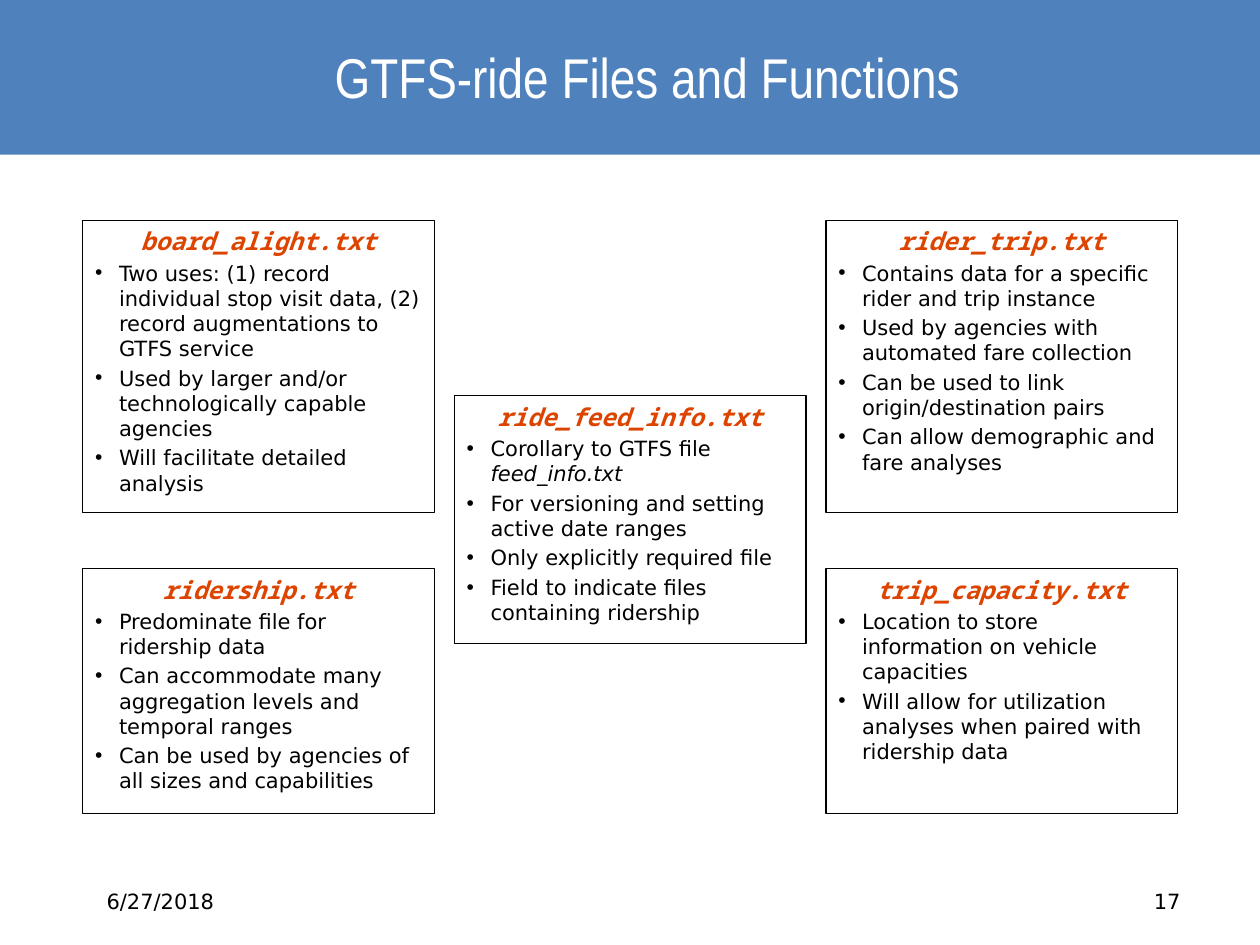
from dataclasses import dataclass

from lxml.etree import SubElement
from pptx import Presentation
from pptx.dml.color import RGBColor
from pptx.enum.shapes import MSO_SHAPE as Shape
from pptx.enum.text import MSO_ANCHOR as Anchor, PP_ALIGN as Align
from pptx.oxml.ns import qn
from pptx.util import Cm, Pt


@dataclass(frozen=True)
class Theme:
    banner: str = "4F81BD"
    title: str = "FFFFFF"
    heading: str = "DC4400"
    text: str = "000000"
    title_font: str = "Arial Narrow"
    heading_font: str = "Noto Sans Mono"
    body_font: str = "DejaVu Sans"
    title_size: int = 32
    heading_size: int = 14
    body_size: int = 12
    paragraph_gap: float = 0.2  # share of the type size


THEME = Theme()

TITLE = "GTFS-ride Files and Functions "
DATE, PAGE = "6/27/2018", "17"

# Each card: column, top, height, file name, bullets.
# A bullet is a list of (text, italic) runs or one plain string.
CARDS = [
    (0, 4.44, 5.9, "board_alight.txt", [
        "Two uses: (1) record individual stop visit data, (2) record augmentations to GTFS service",
        "Used by larger and/or technologically capable agencies",
        "Will facilitate detailed analysis",
    ]),
    (1, 7.98, 5.0, "ride_feed_info.txt", [
        [("Corollary to GTFS file ", False), ("feed_info.txt", True)],
        "For versioning and setting active date ranges",
        "Only explicitly required file",
        "Field to indicate files containing ridership",
    ]),
    (2, 4.44, 5.9, "rider_trip.txt", [
        "Contains data for a specific rider and trip instance",
        "Used by agencies with automated fare collection",
        "Can be used to link origin/destination pairs",
        "Can allow demographic and fare analyses",
    ]),
    (0, 11.46, 4.94, "ridership.txt", [
        "Predominate file for ridership data",
        "Can accommodate many aggregation levels and temporal ranges",
        "Can be used by agencies of all sizes and capabilities",
    ]),
    (2, 11.46, 4.94, "trip_capacity.txt", [
        "Location to store information on vehicle capacities",
        "Will allow for utilization analyses when paired with ridership data",
    ]),
]

CARD_LEFT, CARD_STEP, CARD_WIDTH = 1.67, 7.49, 7.09
BULLET_INDENT = 0.48


def add_run(paragraph, text, font, size, color, bold=False, italic=False):
    run = paragraph.add_run()
    run.text = text
    run.font.name = font
    run.font.size = Pt(size)
    run.font.color.rgb = RGBColor.from_string(color)
    run.font.bold = bold
    run.font.italic = italic


def add_rectangle(slide, left, top, width, height):
    shape = slide.shapes.add_shape(
        Shape.RECTANGLE, Cm(left), Cm(top), Cm(width), Cm(height))
    shape.shadow.inherit = False
    return shape


def add_label(slide, box, text, align, font, size, color):
    frame = slide.shapes.add_textbox(*map(Cm, box)).text_frame
    frame.word_wrap = True
    frame.vertical_anchor = Anchor.MIDDLE
    paragraph = frame.paragraphs[0]
    paragraph.alignment = align
    add_run(paragraph, text, font, size, color)


def make_bullet(paragraph):
    properties = paragraph._p.get_or_add_pPr()
    properties.set("marL", str(Cm(BULLET_INDENT)))
    properties.set("indent", str(-Cm(BULLET_INDENT)))
    SubElement(properties, qn("a:buFont")).set("typeface", "Arial")
    SubElement(properties, qn("a:buChar")).set("char", "•")


def add_card(slide, column, top, height, name, bullets):
    left = CARD_LEFT + column * CARD_STEP
    card = add_rectangle(slide, left, top, CARD_WIDTH, height)
    card.fill.background()
    card.line.color.rgb = RGBColor.from_string(THEME.text)
    card.line.width = Pt(0.75)
    frame = card.text_frame
    frame.word_wrap = True
    frame.vertical_anchor = Anchor.TOP

    # File name
    heading = frame.paragraphs[0]
    heading.alignment = Align.CENTER
    heading.space_before = Pt(THEME.heading_size * THEME.paragraph_gap)
    add_run(heading, name, THEME.heading_font, THEME.heading_size,
            THEME.heading, bold=True, italic=True)

    # Functions
    for bullet in bullets:
        paragraph = frame.add_paragraph()
        paragraph.alignment = Align.LEFT
        paragraph.space_before = Pt(THEME.body_size * THEME.paragraph_gap)
        make_bullet(paragraph)
        runs = [(bullet, False)] if isinstance(bullet, str) else bullet
        for text, italic in runs:
            add_run(paragraph, text, THEME.body_font, THEME.body_size,
                    THEME.text, italic=italic)


def main():
    presentation = Presentation()
    presentation.slide_width, presentation.slide_height = Cm(25.4), Cm(19.05)
    slide = presentation.slides.add_slide(presentation.slide_layouts[6])

    # Banner and title
    banner = add_rectangle(slide, -0.03, -0.05, 25.45, 3.17)
    banner.fill.solid()
    banner.fill.fore_color.rgb = RGBColor.from_string(THEME.banner)
    banner.line.fill.background()
    add_label(slide, (5.87, 0.41, 14.63, 2.24), TITLE, Align.CENTER,
              THEME.title_font, THEME.title_size, THEME.title)

    # File cards
    for card in CARDS:
        add_card(slide, *card)

    # Footer
    for text, left, width, align in [(DATE, 1.9, 5.28, Align.LEFT),
                                     (PAGE, 18.72, 5.33, Align.RIGHT)]:
        add_label(slide, (left, 17.65, width, 1.02), text, align,
                  THEME.body_font, THEME.body_size, THEME.text)

    presentation.save("out.pptx")


if __name__ == "__main__":
    main()
